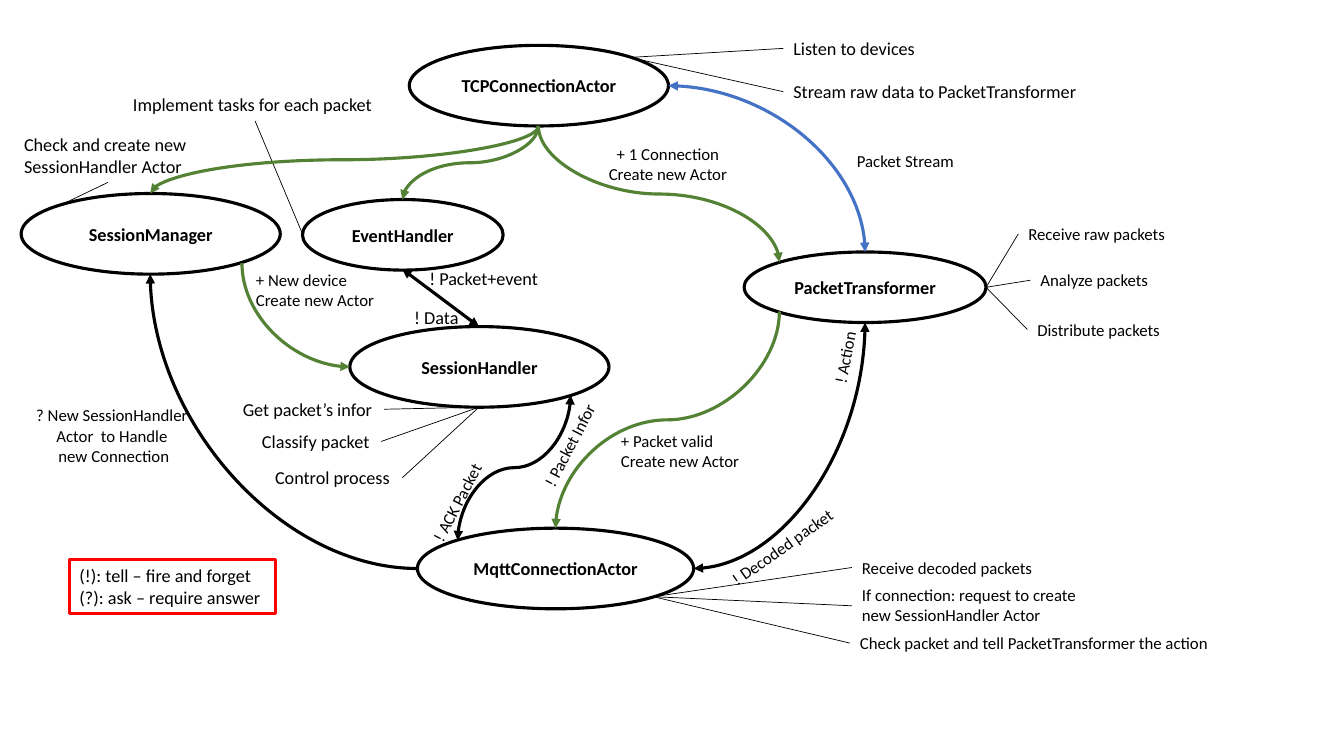
"""Draw the actor message flow of a packet server on one slide."""
from pptx import Presentation
from pptx.dml.color import RGBColor
from pptx.enum import shapes, text
from pptx.oxml import ns, xmlchemy
from pptx.util import Inches, Pt

BLACK, GREEN, BLUE, RED = "000000", "548235", "4472C4", "FF0000"
LEFT, MID = text.PP_ALIGN.LEFT, text.PP_ALIGN.CENTER
KIND = shapes.MSO_CONNECTOR

NODES = [
    ("TCPConnectionActor", 4.06, 0.45, 2.57, 0.8),
    ("EventHandler", 3, 1.98, 1.99, 0.7),
    ("MqttConnectionActor", 4.14, 5.24, 2.74, 0.8),
    ("PacketTransformer", 7.38, 2.5, 2.4, 0.7),
    ("SessionManager", 0.21, 1.92, 2.57, 0.8),
    ("SessionHandler", 3.47, 3.24, 2.57, 0.8),
]

NOTES = [
    (["Packet Stream"], 8.4, 1.45, 1.18, 12),
    (["! Packet+event"], 4.16, 2.6, 1.3, 13),
    (["! Data"], 4.01, 2.99, 0.65, 13),
    (["+ Packet valid", "Create new Actor"], 6.06, 4.22, 1.39, 12),
    (["+ New device", "Create new Actor"], 2.44, 2.63, 1.39, 12),
    (["Receive raw packets"], 10.1, 2.17, 1.58, 12),
    (["Analyze packets"], 10.22, 2.63, 1.28, 12),
    (["Distribute packets"], 10.19, 3.12, 1.43, 12),
    (["Receive decoded packets"], 8.45, 5.48, 1.91, 12),
    (["If connection: request to create ", "new SessionHandler Actor "],
     8.45, 5.75, 2.39, 12),
    (["Check packet and tell PacketTransformer the action"],
     8.43, 6.23, 3.7, 12),
    (["Check and create new ", "SessionHandler Actor"], 0.14, 1.27, 1.88, 13),
    (["Listen to devices"], 7.77, 0.32, 1.43, 13),
    (["Stream raw data to PacketTransformer "], 7.77, 0.75, 3.09, 13),
    (["Implement tasks for each packet"], 1.22, 0.88, 2.61, 13),
    (["Get packet’s infor"], 2.31, 3.9, 1.5, 13),
    (["Classify packet"], 2.5, 4.22, 1.28, 13),
    (["Control process"], 2.63, 4.58, 1.36, 13),
]

TILTED = [
    ("! Decoded packet", 7.07, 5.27, 1.39, 324.9),
    ("! Packet Infor", 5.1, 4.26, 1.1, 297.5),
    ("! Action", 8.01, 3.39, 0.74, 280.8),
    ("! ACK Packet", 4.01, 4.83, 1.05, 297.5),
]

FANS = [
    ((6.25, 0.57), [(7.77, 0.48), (7.77, 0.91)]),
    ((6.48, 5.92), [(8.45, 5.63), (8.45, 6.01), (8.43, 6.38)]),
    ((4.75, 4.04), [(3.81, 4.06), (3.78, 4.38), (3.99, 4.74)]),
    ((9.78, 2.85), [(10.1, 2.32), (10.22, 2.78), (10.19, 3.27)]),
    ((3, 2.32), [(2.53, 1.2)]),
    ((0.59, 2.04), [(1.07, 1.81)]),
]

DROPS = [
    ((8.58, 3.2), (6.88, 5.64), BLACK, 2, True),
    ((2.4, 2.61), (3.47, 3.64), GREEN, 2, False),
    ((5.34, 1.25), (7.73, 2.6), GREEN, 3, False),
    ((7.73, 3.09), (5.51, 5.24), GREEN, 3, False),
    ((5.34, 1.25), (3.99, 1.98), GREEN, 3, False),
    ((5.34, 1.25), (1.49, 1.92), GREEN, 3, False),
    ((5.66, 3.92), (4.54, 5.36), BLACK, 3, True),
]


def color(code):
    """Turn a hex string into a colour."""
    return RGBColor.from_string(code)


def format_all(item, values):
    """Set each attribute named in values."""
    for name, value in values.items():
        setattr(item, name, value)


def write(shape, lines, size, align=LEFT, bold=False, wrap=False):
    """Fill a shape with one paragraph per line."""
    frame = shape.text_frame
    format_all(frame, {"text": "\n".join(lines), "word_wrap": wrap})
    for par in frame.paragraphs:
        par.alignment = align
        format_all(par.font, {"name": "Calibri", "size": Pt(size), "bold": bold})
        par.font.color.rgb = color(BLACK)


def outline(slide, kind, box, ink):
    """Add an unfilled shape with a thick line."""
    shape = slide.shapes.add_shape(kind, *map(Inches, box))
    shape.shadow.inherit = False
    shape.fill.background()
    shape.line.color.rgb = color(ink)
    shape.line.width = Pt(2.25)
    shape.text_frame.vertical_anchor = text.MSO_ANCHOR.MIDDLE
    return shape


def note(slide, lines, left, top, width, size, align=LEFT, turn=0, wrap=False):
    """Add a text box as high as its lines need."""
    high = 0.1 + len(lines) * size / 60
    box = slide.shapes.add_textbox(*map(Inches, (left, top, width, high)))
    write(box, lines, size, align, wrap=wrap)
    box.text_frame.auto_size = text.MSO_AUTO_SIZE.SHAPE_TO_FIT_TEXT
    box.rotation = turn


def link(slide, start, end, ink=BLACK, width=2.25, ends=(), kind=KIND.STRAIGHT):
    """Add a line with arrowheads at the named ends."""
    line = slide.shapes.add_connector(kind, *map(Inches, (*start, *end)))
    line.line.color.rgb = color(ink)
    line.line.width = Pt(width)
    props = line._element.spPr
    for name in ends:
        head = xmlchemy.OxmlElement(f"a:{name}")
        head.set("type", "triangle")
        props.get_or_add_ln().append(head)
    props.append(xmlchemy.OxmlElement("a:effectLst"))
    return props


def curve(slide, start, end, ink, bends, both):
    """Add a curve that leaves its start sideways."""
    ends = ("headEnd", "tailEnd") if both else ("tailEnd",)
    props = link(slide, start, end, ink, ends=ends, kind=KIND.CURVE)
    props.find(ns.qn("a:prstGeom")).set("prst", f"curvedConnector{bends}")
    return props


def drop(slide, start, end, ink, bends, both):
    """Add a curve that leaves its start downwards."""
    (x1, y1), (x2, y2) = start, end
    side = 1 if x2 > x1 else -1
    x, y = (x1 + x2) / 2, (y1 + y2) / 2
    dx, dy = side * (y2 - y1) / 2, abs(x2 - x1) / 2
    props = curve(slide, (x + dx, y - dy), (x - dx, y + dy), ink, bends, both)
    props.xfrm.rot = 270 if side > 0 else 90


def main():
    """Build and save the slide."""
    deck = Presentation()
    format_all(deck, {"slide_width": Inches(13.33), "slide_height": Inches(7.5)})
    slide = deck.slides.add_slide(deck.slide_layouts[6])
    for name, *box in NODES:
        oval = outline(slide, shapes.MSO_SHAPE.OVAL, box, BLACK)
        write(oval, [name], 13, MID, True)
    for start, tips in FANS:
        for tip in tips:
            link(slide, start, tip, width=0.5)
    for row in DROPS:
        drop(slide, *row)
    curve(slide, (6.63, 0.85), (8.58, 2.5), BLUE, 2, True)
    curve(slide, (4.14, 5.64), (1.49, 2.72), BLACK, 2, False)
    link(slide, (3.99, 2.67), (4.75, 3.24), ends=("headEnd", "tailEnd"))
    for row in NOTES:
        note(slide, *row)
    note(slide, ["+ 1 Connection", "Create new Actor"],
         5.73, 1.38, 1.79, 12, MID, wrap=True)
    note(slide, ["? New SessionHandler ", "Actor  to Handle ", "new Connection"],
         0.25, 3.97, 1.76, 12, MID)
    for label, left, top, width, turn in TILTED:
        note(slide, [label], left, top, width, 12, turn=turn)
    key = outline(slide, shapes.MSO_SHAPE.RECTANGLE, (0.69, 5.55, 2.04, 0.54), RED)
    write(key, ["(!): tell – fire and forget", "(?): ask – require answer"],
          13, wrap=True)
    deck.save("out.pptx")


main()
